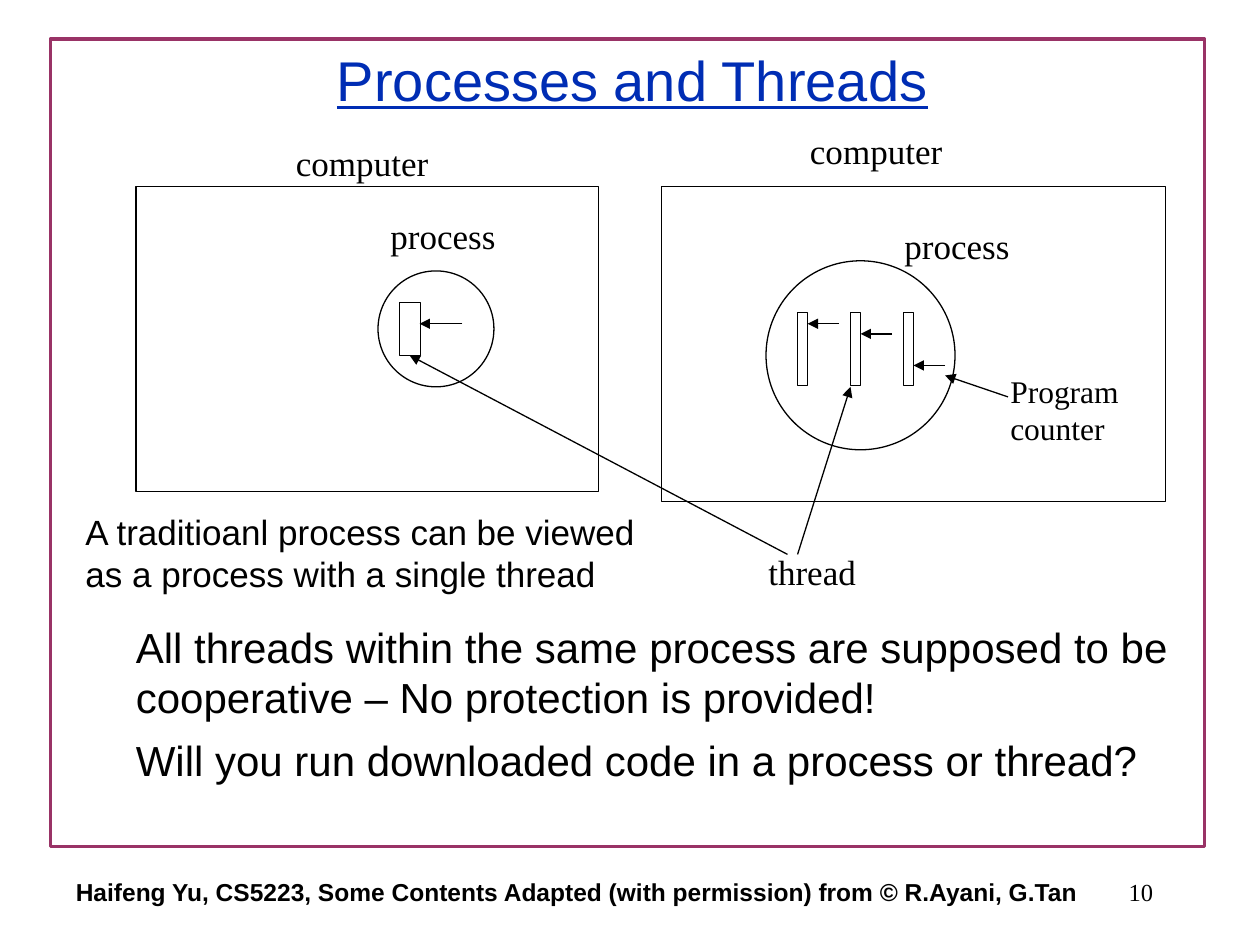
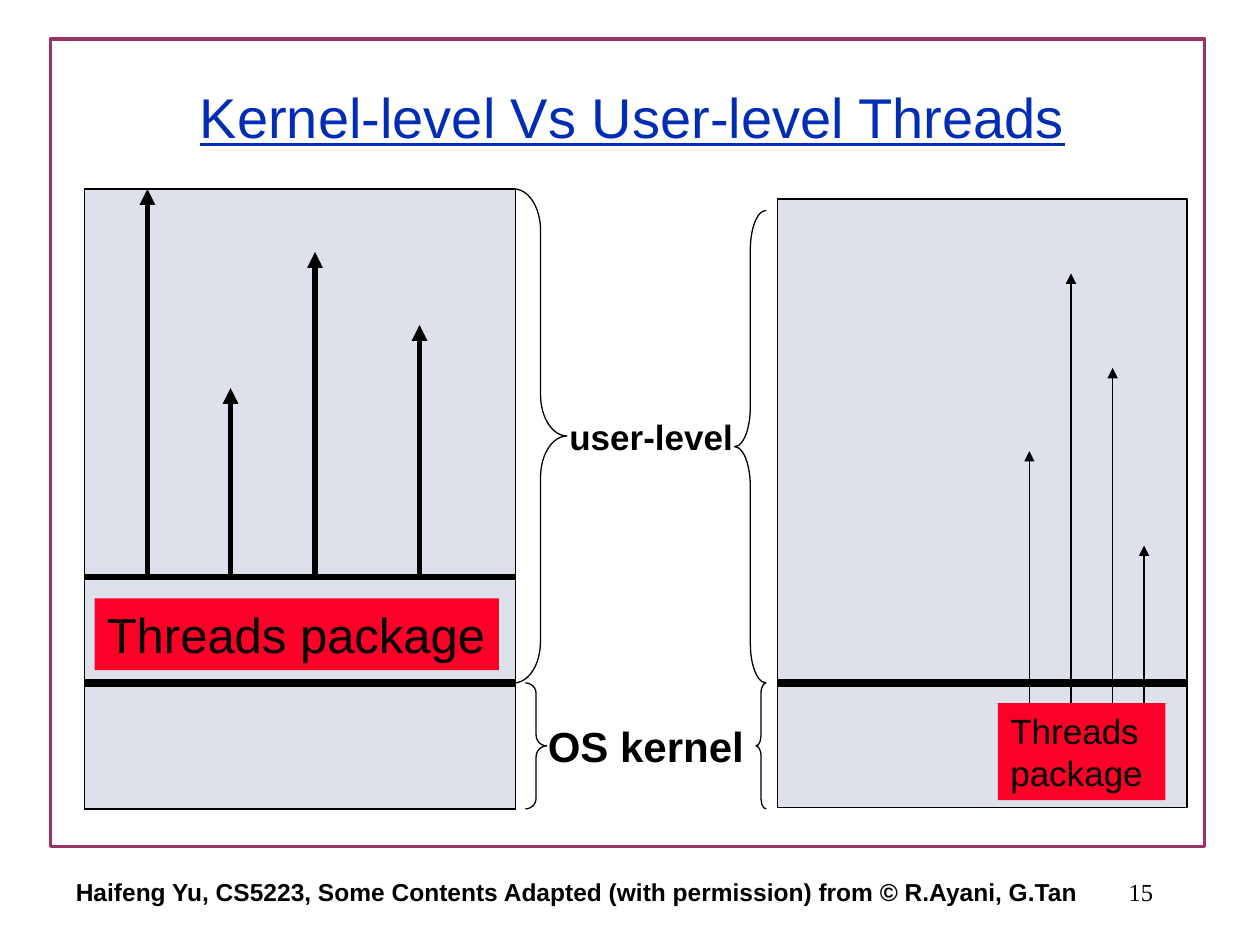
"""Build two lecture slides on processes and threads."""
import pptx
import pptx.util
import pptx.dml.color
import pptx.enum.shapes
import pptx.enum.text
import pptx.oxml.ns
import pptx.oxml.xmlchemy

RGBColor = pptx.dml.color.RGBColor
Shape = pptx.enum.shapes.MSO_SHAPE
Align = pptx.enum.text.PP_ALIGN
Anchor = pptx.enum.text.MSO_ANCHOR
Inches = pptx.util.Inches
OxmlElement = pptx.oxml.xmlchemy.OxmlElement

BLACK = RGBColor(0x00, 0x00, 0x00)
TITLE_BLUE = RGBColor(0x00, 0x2D, 0xB4)
FRAME_PLUM = RGBColor(0x99, 0x33, 0x66)
PANEL_GREY = RGBColor(0xDD, 0xE1, 0xEB)
PACKAGE_RED = RGBColor(0xFC, 0x01, 0x28)
SANS, SERIF = "Arial", "Times New Roman"
THIN, MEDIUM, THICK = 0.75, 3, 4.5

FOOTER = ("Haifeng Yu, CS5223, Some Contents Adapted (with permission) "
          "from © R.Ayani, G.Tan")
PROCESS_TITLE = ("Processes and Threads", 0.17, "10")
LEVEL_TITLE = ("Kernel-level Vs User-level Threads", 0.46, "15")

COMPUTERS = [(1.08, 1.48, 3.67, 2.42), (5.25, 1.48, 4, 2.5)]
PROCESSES = [(3, 2.15, 0.92, 0.92), (6.08, 2.07, 1.5, 1.5)]
SINGLE_THREAD = (3.17, 2.4, 0.17, 0.42)
FIRST_THREAD, THREAD_STEP = (6.33, 2.48, 0.08, 0.58), 0.42
COUNTER_HEIGHTS = [2.57, 2.65, 2.9]
POINTERS = [
    ((3.67, 2.57), (3.33, 2.57)),
    ((6.25, 4.4), (3.25, 2.82)),
    ((6.33, 4.4), (6.75, 3.07)),
    ((8, 3.15), (7.5, 2.98)),
]
LABELS = [
    ("computer", (2.25, 1.07, 1.25, 0.43), 20),
    ("computer", (6.33, 0.98, 1.25, 0.43), 20),
    ("process", (3, 1.65, 1.83, 0.43), 20),
    ("process", (7.08, 1.73, 1.83, 0.43), 20),
    ("thread", (6, 4.32, 1, 0.43), 20),
    ("Program counter", (7.92, 2.9, 1.17, 0.7), 18),
]
REMARK = ["A traditioanl process can be viewed as a process with a single thread"]
QUESTIONS = [
    "All threads within the same process are supposed to be cooperative – "
    "No protection is provided!",
    "Will you run downloaded code in a process or thread?",
]

KERNEL_TOP = 5.42
USER_SIDE = {
    "panel": (0.67, 1.5, 3.42, 4.92),
    "braces": [(Shape.RIGHT_BRACE, (4.08, 1.5, 0.42, 3.92), 0.783),
               (Shape.RIGHT_BRACE, (4.17, KERNEL_TOP, 0.17, 1), 0.5)],
    "package": ((0.75, 4.75, 3.21, 0.57), 28, False),
    "base": 4.58, "width": MEDIUM,
    "threads": [(1.17, 1.5), (1.83, 3.08), (2.5, 2), (3.33, 2.58)],
}
KERNEL_SIDE = {
    "panel": (6.17, 1.58, 3.25, 4.83),
    "braces": [(Shape.LEFT_BRACE, (5.83, 1.67, 0.25, 3.75), 1.25),
               (Shape.LEFT_BRACE, (6, KERNEL_TOP, 0.08, 1), 1)],
    "package": ((7.92, 5.58, 1.33, 0.77), 20, True),
    "base": 5.58, "width": THIN,
    "threads": [(8.17, 3.58), (8.5, 2.17), (8.83, 2.92), (9.08, 4.33)],
}


def style_span(span, size, font, color=BLACK, bold=False, underline=False):
    span.font.size = pptx.util.Pt(size)
    span.font.name = font
    span.font.color.rgb = color
    span.font.bold = bold
    span.font.underline = underline


def add_text(shapes, place, lines, size, font=SANS, bold=False, align=Align.LEFT,
             anchor=Anchor.TOP, wrap=True, gap=0, fill=None):
    box = shapes.add_textbox(*map(Inches, place))
    if fill is not None:
        box.fill.solid()
        box.fill.fore_color.rgb = fill
    frame = box.text_frame
    frame.word_wrap = wrap
    frame.vertical_anchor = anchor
    for index, line in enumerate(lines):
        para = frame.add_paragraph() if index else frame.paragraphs[0]
        para.alignment = align
        para.space_before = pptx.util.Pt(gap * size if index else 0)
        span = para.add_run()
        span.text = line
        style_span(span, size, font, bold=bold)


def add_outline(shapes, kind, place, fill=None, color=BLACK, width=THIN):
    shape = shapes.add_shape(kind, *map(Inches, place))
    shape.shadow.inherit = False
    if fill is None:
        shape.fill.background()
    else:
        shape.fill.solid()
        shape.fill.fore_color.rgb = fill
    shape.line.color.rgb = color
    shape.line.width = pptx.util.Pt(width)
    return shape


def add_line(shapes, start, end, width=THIN, arrow=True):
    line = shapes.add_connector(pptx.enum.shapes.MSO_CONNECTOR.STRAIGHT,
                                *map(Inches, start + end))
    line.line.color.rgb = BLACK
    line.line.width = pptx.util.Pt(width)
    properties = line.element.spPr
    if arrow:
        head = OxmlElement("a:tailEnd")
        head.set("type", "triangle")
        properties.find(pptx.oxml.ns.qn("a:ln")).append(head)
    properties.append(OxmlElement("a:effectLst"))


def add_page(deck, title, top, number):
    page = deck.slides.add_slide(deck.slide_layouts[5])
    heading = page.shapes.title
    heading.left, heading.top, heading.width, heading.height = map(
        Inches, (0.77, top, 8.5, 0.92))
    frame = heading.text_frame
    frame.auto_size = pptx.enum.text.MSO_AUTO_SIZE.NONE
    frame.vertical_anchor = Anchor.MIDDLE
    para = frame.paragraphs[0]
    para.alignment = Align.CENTER
    span = para.add_run()
    span.text = title
    style_span(span, 32, SANS, TITLE_BLUE, underline=True)
    add_outline(page.shapes, Shape.RECTANGLE, (0.4, 0.31, 9.16, 6.41),
                color=FRAME_PLUM, width=2)
    add_text(page.shapes, (7.17, 6.83, 2.08, 0.5), [number], 14, SERIF,
             align=Align.RIGHT, anchor=Anchor.MIDDLE, wrap=False)
    add_text(page.shapes, (0.33, 6.83, 8.5, 0.5), [FOOTER], 14, bold=True,
             align=Align.CENTER, anchor=Anchor.MIDDLE, wrap=False)
    return page


def draw_processes(deck):
    shapes = add_page(deck, *PROCESS_TITLE).shapes
    for place in COMPUTERS:
        add_outline(shapes, Shape.RECTANGLE, place)
    for place in PROCESSES:
        add_outline(shapes, Shape.OVAL, place)
    add_outline(shapes, Shape.RECTANGLE, SINGLE_THREAD)
    left, top, width, height = FIRST_THREAD
    for index, level in enumerate(COUNTER_HEIGHTS):
        x = left + index * THREAD_STEP
        add_outline(shapes, Shape.RECTANGLE, (x, top, width, height))
        add_line(shapes, (x + width + 0.25, level), (x + width, level))
    for start, end in POINTERS:
        add_line(shapes, start, end)
    for label, place, size in LABELS:
        add_text(shapes, place, [label], size, SERIF)
    add_text(shapes, (0.58, 4, 4.67, 0.77), REMARK, 20)
    add_text(shapes, (0.98, 4.88, 8.6, 1.42), QUESTIONS, 24, gap=0.3)


def draw_side(shapes, side):
    left, width = side["panel"][0], side["panel"][2]
    add_outline(shapes, Shape.RECTANGLE, side["panel"], PANEL_GREY)
    for kind, place, curve in side["braces"]:
        add_outline(shapes, kind, place).adjustments[0] = curve
    add_line(shapes, (left, KERNEL_TOP), (left + width, KERNEL_TOP), THICK, False)
    place, size, wrap = side["package"]
    add_text(shapes, place, ["Threads package"], size, wrap=wrap, fill=PACKAGE_RED)
    for x, tip in side["threads"]:
        add_line(shapes, (x, side["base"]), (x, tip), side["width"])


def draw_levels(deck):
    shapes = add_page(deck, *LEVEL_TITLE).shapes
    draw_side(shapes, USER_SIDE)
    left, _, width, _ = USER_SIDE["panel"]
    base = USER_SIDE["base"]
    add_line(shapes, (left, base), (left + width, base), MEDIUM, False)
    add_text(shapes, (4.42, 3.25, 1.92, 0.43), ["user-level"], 20, bold=True)
    add_text(shapes, (4.25, 5.67, 2, 0.5), ["OS kernel"], 24, bold=True)
    draw_side(shapes.add_group_shape().shapes, KERNEL_SIDE)


deck = pptx.Presentation()
deck.slide_width, deck.slide_height = Inches(10), Inches(7.5)
draw_processes(deck)
draw_levels(deck)
deck.save("out.pptx")
